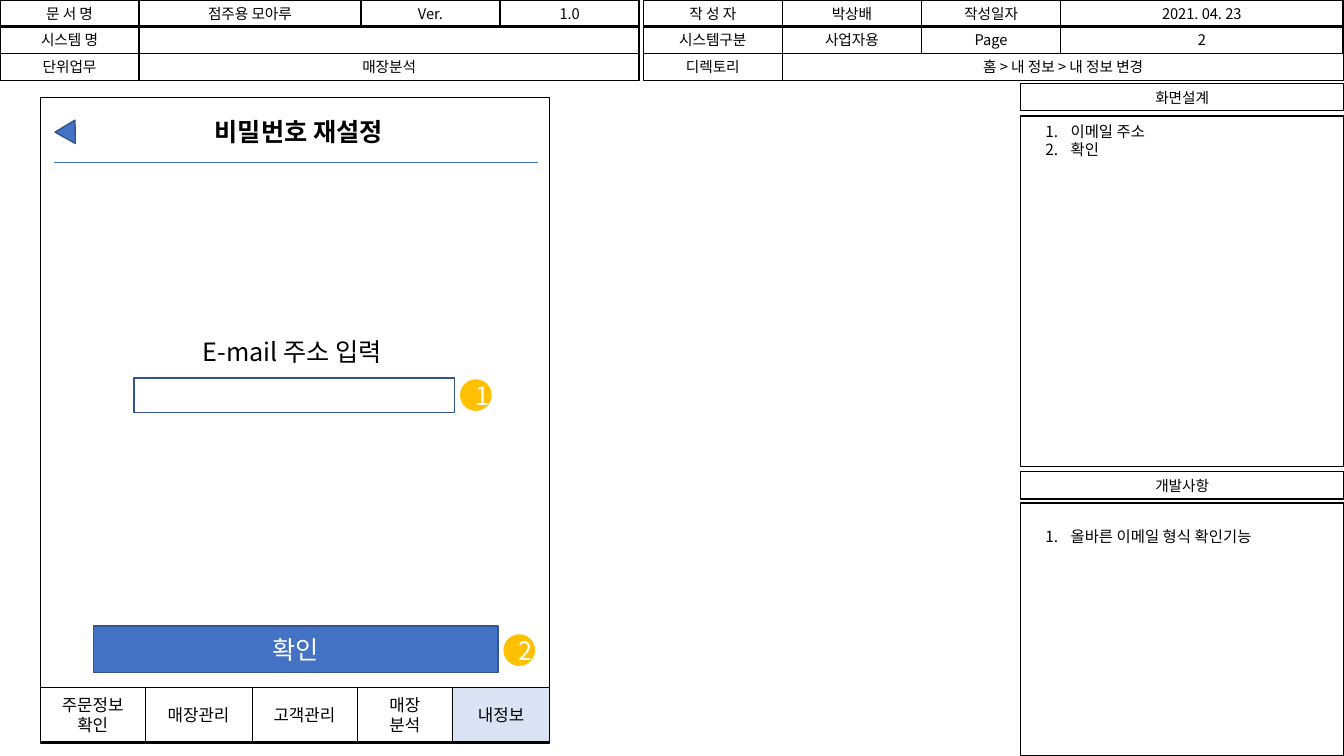
from lxml import etree
from pptx import Presentation
from pptx.dml.color import RGBColor
from pptx.enum.shapes import MSO_CONNECTOR, MSO_SHAPE
from pptx.enum.text import MSO_ANCHOR, MSO_AUTO_SIZE, PP_ALIGN
from pptx.oxml.ns import qn
from pptx.util import Inches, Pt

RECTANGLE = MSO_SHAPE.RECTANGLE
TRIANGLE = MSO_SHAPE.ISOSCELES_TRIANGLE
OVAL = MSO_SHAPE.OVAL
STRAIGHT = MSO_CONNECTOR.STRAIGHT
TOP, MIDDLE = MSO_ANCHOR.TOP, MSO_ANCHOR.MIDDLE
LEFT, CENTER = PP_ALIGN.LEFT, PP_ALIGN.CENTER
NO_AUTOFIT = MSO_AUTO_SIZE.NONE

FONT = "Noto Sans CJK KR"
COLORS = {
    "black": "000000",
    "white": "FFFFFF",
    "blue": "4472C4",
    "dark_blue": "325491",
    "pale_blue": "DAE3F3",
    "amber": "FFC000",
}

ROW_TOPS = [0, 0.26, 0.53]
BAR_HEIGHT = 0.27
LABEL_WIDTH = 1.38
HEADER_ROWS = [
    (0, 0, [("문 서 명", LABEL_WIDTH), ("점주용 모아루", 2.2),
            ("Ver.", LABEL_WIDTH), ("1.0", LABEL_WIDTH)]),
    (1, 0, [("시스템 명", LABEL_WIDTH), ("", 4.96)]),
    (2, 0, [("단위업무", LABEL_WIDTH), ("매장분석", 4.96)]),
    (0, 6.38, [("작 성 자", LABEL_WIDTH), ("박상배", LABEL_WIDTH),
               ("작성일자", LABEL_WIDTH), ("2021. 04. 23", 2.8)]),
    (1, 6.38, [("시스템구분", LABEL_WIDTH), ("사업자용", LABEL_WIDTH),
               ("Page", LABEL_WIDTH), ("2", 2.8)]),
    (2, 6.38, [("디렉토리", LABEL_WIDTH), ("홈 > 내 정보 > 내 정보 변경", 5.57)]),
]
PANELS = [
    ("화면설계", 0.83, 1.15, 3.48, 1.16, ["이메일 주소", "확인"]),
    ("개발사항", 4.68, 4.99, 2.51, 5.18, ["올바른 이메일 형식 확인기능"]),
]
TABS = [
    ("주문정보\n확인", 1.04, "white"),
    ("매장관리", 1.06, "white"),
    ("고객관리", 1.04, "white"),
    ("매장\n분석", 0.95, "white"),
    ("내정보", 0.96, "pale_blue"),
]


def color(name):
    return RGBColor.from_string(COLORS[name])


def write_text(shape, text, size, text_color="black", align=CENTER, anchor=MIDDLE, bold=False):
    frame = shape.text_frame
    frame.text = text
    frame.word_wrap = True
    frame.vertical_anchor = anchor
    for paragraph in frame.paragraphs:
        paragraph.alignment = align
        for run in paragraph.runs:
            run.font.name = FONT
            run.font.size = Pt(size)
            run.font.bold = bold
            run.font.color.rgb = color(text_color)
            east_asian = etree.Element(qn("a:ea"), typeface=FONT)
            run.font._element.find(qn("a:latin")).addnext(east_asian)


def add_box(shapes, kind, left, top, width, height, fill=None, line="black",
            line_width=1, text="", size=10.5, text_color="black"):
    shape = shapes.add_shape(kind, Inches(left), Inches(top), Inches(width), Inches(height))
    shape.shadow.inherit = False
    if fill:
        shape.fill.solid()
        shape.fill.fore_color.rgb = color(fill)
    else:
        shape.fill.background()
    shape.line.color.rgb = color(line)
    shape.line.width = Pt(line_width)
    if text:
        write_text(shape, text, size, text_color)
    return shape


def add_label(shapes, left, top, width, height, text, size, align):
    label = shapes.add_textbox(Inches(left), Inches(top), Inches(width), Inches(height))
    write_text(label, text, size, align=align, anchor=TOP)
    return label


def number_paragraphs(label):
    for paragraph in label.text_frame.paragraphs:
        properties = paragraph._p.get_or_add_pPr()
        properties.set("marL", str(Inches(0.25)))
        properties.set("indent", str(-Inches(0.25)))
        etree.SubElement(properties, qn("a:buFont"), typeface="+mj-lt")
        etree.SubElement(properties, qn("a:buAutoNum"), type="arabicPeriod")


def add_header(shapes):
    group = shapes.add_group_shape()
    for row, left, cells in HEADER_ROWS:
        for text, width in cells:
            add_box(group.shapes, RECTANGLE, left, ROW_TOPS[row], width, BAR_HEIGHT, text=text)
            left += width


def add_panel(shapes, heading, heading_top, body_top, body_height, list_top, items):
    left, width = 10.12, 3.21
    add_box(shapes, RECTANGLE, left, heading_top, width, BAR_HEIGHT, text=heading)
    add_box(shapes, RECTANGLE, left, body_top, width, body_height)
    height = 0.1 + 0.19 * len(items)
    notes = add_label(shapes, 10.27, list_top, 3.07, height, "\n".join(items), 11, LEFT)
    number_paragraphs(notes)


def add_divider(shapes, left, right, top):
    divider = shapes.add_connector(STRAIGHT, Inches(left), Inches(top), Inches(right), Inches(top))
    divider.line.color.rgb = color("blue")
    divider.line.width = Pt(0.5)
    etree.SubElement(divider.element.spPr, qn("a:effectLst"))


def add_tabs(shapes, left, top):
    for text, width, fill in TABS:
        add_box(shapes, RECTANGLE, left, top, width, 0.54, fill, line_width=0.5,
                text=text, size=12)
        left += width


def add_marker(shapes, left, top, number):
    add_box(shapes, OVAL, left, top, 0.3, 0.3, "amber", "amber",
            text=number, size=18, text_color="white")


def place_title(title, screen):
    title.left, title.top = Inches(2.03), Inches(1.1)
    title.width, title.height = Inches(2.63), Inches(0.4)
    write_text(title, "비밀번호 재설정", 18, align=LEFT, anchor=TOP, bold=True)
    title.text_frame.auto_size = NO_AUTOFIT
    screen.element.addnext(title.element)


def add_phone_screen(slide):
    shapes = slide.shapes
    screen = add_box(shapes, RECTANGLE, 0.4, 0.97, 5.05, 6.4, "white")
    place_title(shapes.title, screen)
    back_arrow = add_box(shapes, TRIANGLE, 0.58, 1.18, 0.23, 0.2, "blue", "dark_blue")
    back_arrow.rotation = 29.1
    add_divider(shapes, 0.54, 5.34, 1.61)
    add_label(shapes, 0.87, 3.29, 4.06, 0.46, "E-mail 주소 입력", 18, CENTER)
    add_box(shapes, RECTANGLE, 1.33, 3.75, 3.18, 0.34, "white", "dark_blue")
    add_box(shapes, RECTANGLE, 0.93, 6.21, 4.01, 0.46, "blue", "dark_blue",
            text="확인", size=18, text_color="white")
    add_marker(shapes, 4.57, 3.77, "1")
    add_marker(shapes, 5, 6.3, "2")
    add_tabs(shapes, 0.4, 6.82)


def main():
    presentation = Presentation()
    presentation.slide_width = Inches(13.33)
    presentation.slide_height = Inches(7.5)
    slide = presentation.slides.add_slide(presentation.slide_layouts[5])
    add_header(slide.shapes)
    for panel in PANELS:
        add_panel(slide.shapes, *panel)
    add_phone_screen(slide)
    presentation.save("out.pptx")


main()
